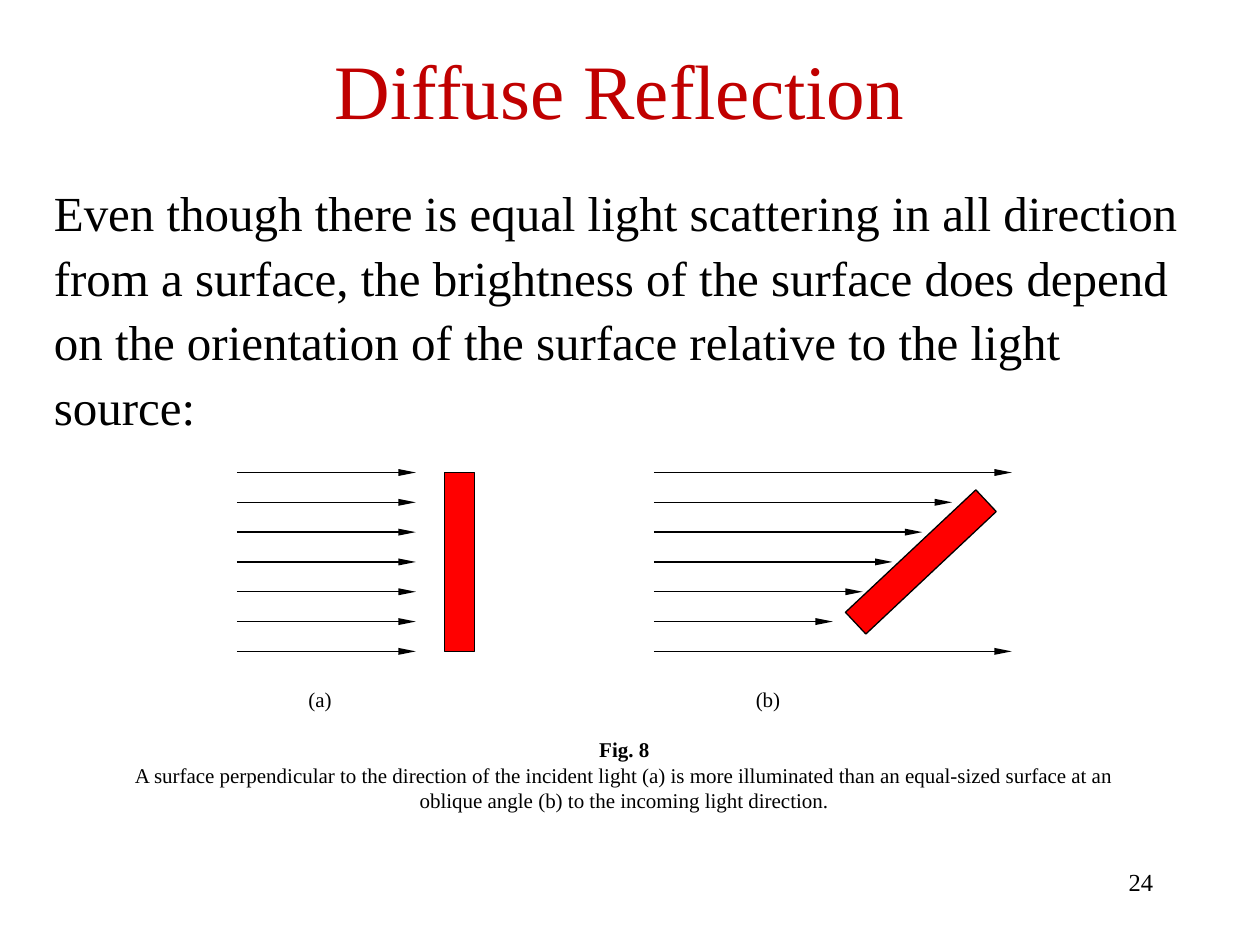
from lxml import etree
from pptx import Presentation
from pptx.dml.color import RGBColor
from pptx.enum.shapes import MSO_CONNECTOR, MSO_SHAPE
from pptx.enum.text import MSO_ANCHOR, PP_ALIGN
from pptx.oxml.ns import qn
from pptx.util import Inches, Pt

BLACK, RED, TITLE_RED = "000000", "FF0000", "C00000"
RAY_GAP = 1.42 / 6
BODY_LINES = [
    "Even though there is equal light scattering in all direction",
    "from a surface, the brightness of the surface does depend",
    "on the orientation of the surface relative to the light",
    "source:",
]
CAPTION = ("A surface perpendicular to the direction of the incident light (a) is more "
           "illuminated than an equal-sized surface at an oblique angle (b) to the "
           "incoming light direction.")


def color(value):
    return RGBColor.from_string(value)


def place(shape, box):
    for name, value in zip(("left", "top", "width", "height"), box):
        setattr(shape, name, Inches(value))


def write(frame, lines, size, shade=BLACK, para_format=None, anchor=MSO_ANCHOR.TOP):
    frame.word_wrap = True
    frame.vertical_anchor = anchor
    for index, (text, bold) in enumerate(lines):
        para = frame.paragraphs[0] if index == 0 else frame.add_paragraph()
        for name, value in (para_format or {}).items():
            if index or name != "space_before":
                setattr(para, name, value)
        span = para.add_run()
        span.text = text
        values = {"name": "Times New Roman", "size": Pt(size), "bold": bold}
        for name, value in values.items():
            setattr(span.font, name, value)
        span.font.color.rgb = color(shade)


def add_text(page, box, lines, size, para_format=None):
    shape = page.shapes.add_textbox(*map(Inches, box))
    write(shape.text_frame, lines, size, para_format=para_format)


def add_title(page, box):
    title = page.shapes.title
    place(title, box)
    write(title.text_frame, [("Diffuse Reflection", False)], 44, TITLE_RED,
          {"alignment": PP_ALIGN.CENTER}, MSO_ANCHOR.MIDDLE)


def add_ray(page, left, top, length):
    ray = page.shapes.add_connector(MSO_CONNECTOR.STRAIGHT, Inches(left), Inches(top),
                                    Inches(left + length), Inches(top))
    ray.line.width = Pt(0.75)
    ray.line.color.rgb = color(BLACK)
    etree.SubElement(ray.line._get_or_add_ln(), qn("a:tailEnd"),
                     type="triangle", w="sm", len="lg")
    etree.SubElement(ray._element.spPr, qn("a:effectLst"))


def add_surface(page, box, rotation):
    surface = page.shapes.add_shape(MSO_SHAPE.RECTANGLE, *map(Inches, box))
    surface.rotation = rotation
    surface.shadow.inherit = False
    surface.fill.solid()
    surface.fill.fore_color.rgb = color(RED)
    surface.line.color.rgb = color(BLACK)
    surface.line.width = Pt(0.75)


def add_diagram(page, left, top, ray_steps, surface_offset, rotation, label, label_offset):
    add_surface(page, (left + surface_offset, top, RAY_GAP, 6 * RAY_GAP), rotation)
    for row, steps in enumerate(ray_steps):
        add_ray(page, left, top + row * RAY_GAP, steps * RAY_GAP)
    add_text(page, (left + label_offset, top + 1.65, 0.94, 0.71), [(label, False)], 12)


def main():
    deck = Presentation()
    deck.slide_width, deck.slide_height = Inches(10), Inches(7.5)
    page = deck.slides.add_slide(deck.slide_layouts[5])
    add_title(page, (0.67, 0.08, 8.5, 1.25))
    add_text(page, (0.33, 1.45, 9.33, 1.58), [(line, False) for line in BODY_LINES], 28,
             {"line_spacing": 0.9, "space_before": Pt(6.8)})
    add_diagram(page, 1.88, 3.75, [6] * 7, 1.65, 0, "(a)", 0.47)
    add_diagram(page, 5.19, 3.75, [12, 10, 9, 8, 7, 6, 12], 2, 46.8, "(b)", 0.71)
    add_text(page, (0.82, 5.8, 8.27, 1.0), [("Fig. 8", True), (CAPTION, False)], 12,
             {"alignment": PP_ALIGN.CENTER})
    add_text(page, (7.17, 6.83, 2.08, 0.5), [("24", False)], 14,
             {"alignment": PP_ALIGN.RIGHT})
    deck.save("out.pptx")


if __name__ == "__main__":
    main()
